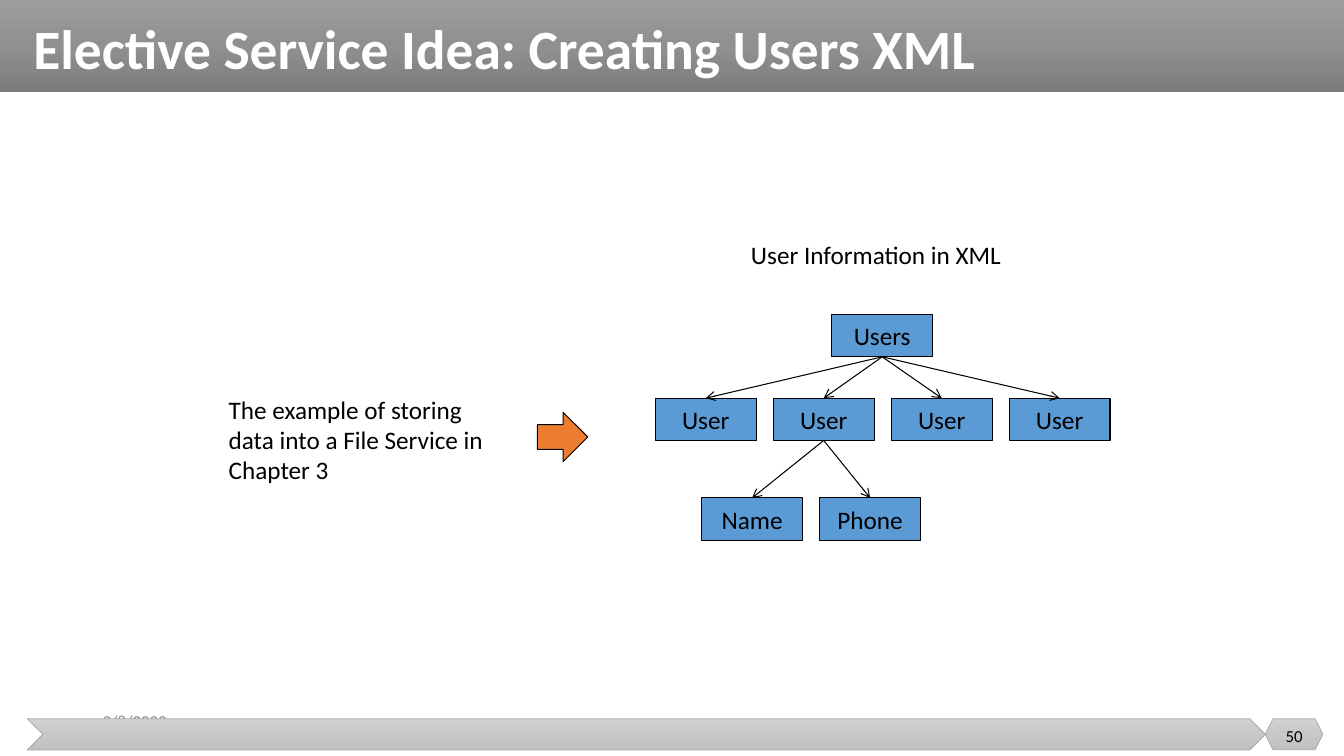
from copy import deepcopy
from dataclasses import dataclass

from lxml import etree
from pptx import Presentation
from pptx.dml.color import RGBColor
from pptx.enum.shapes import MSO_CONNECTOR as Connector, MSO_SHAPE as Preset
from pptx.enum.text import MSO_ANCHOR as Anchor, PP_ALIGN as Align
from pptx.oxml.ns import qn
from pptx.util import Inches, Pt


@dataclass(frozen=True)
class Theme:
    font: str = "Calibri"
    title_size: float = 39.6
    text_size: float = 18
    footer_size: float = 12
    thin_line: float = 0.5
    line: float = 0.75
    white: str = "FFFFFF"
    black: str = "000000"
    muted: str = "8C8C8C"
    node: str = "5B9BD5"
    arrow: str = "ED7D31"
    footer_line: str = "A5A5A5"
    band: tuple = ("9D9D9D", "909090", "7C7C7C")
    footer: tuple = ("D2D2D2", "C8C8C8", "C0C0C0")


class SlideBuilder:
    def __init__(self, slide, theme):
        self.slide = slide
        self.theme = theme

    def set_text(self, shape, text, size, color, align=Align.LEFT, anchor=Anchor.MIDDLE, bold=False):
        frame = shape.text_frame
        frame.text = text
        frame.word_wrap = True
        frame.vertical_anchor = anchor
        paragraph = frame.paragraphs[0]
        paragraph.alignment = align
        paragraph.font.name = self.theme.font
        paragraph.font.size = Pt(size)
        paragraph.font.bold = bold
        paragraph.font.color.rgb = RGBColor.from_string(color)
        return paragraph

    def title(self, text, box):
        title = self.slide.shapes.title
        title.left, title.top, title.width, title.height = map(Inches, box)
        theme = self.theme
        paragraph = self.set_text(title, text, theme.title_size, theme.white, bold=True)
        paragraph.line_spacing = 0.9
        title.element.getparent().append(title.element)

    def text(self, text, box, size, color, **style):
        shape = self.slide.shapes.add_textbox(*map(Inches, box))
        self.set_text(shape, text, size, color, **style)

    def shape(self, preset, box, fill, line=None, width=0):
        shape = self.slide.shapes.add_shape(preset, *map(Inches, box))
        shape.shadow.inherit = False
        if isinstance(fill, tuple):
            self.gradient(shape, fill)
        else:
            shape.fill.solid()
            shape.fill.fore_color.rgb = RGBColor.from_string(fill)
        if line:
            shape.line.color.rgb = RGBColor.from_string(line)
            shape.line.width = Pt(width)
        else:
            shape.line.fill.background()
        return shape

    def gradient(self, shape, colors):
        shape.fill.gradient()
        shape.fill.gradient_angle = 270
        stop_list = shape.element.spPr.find(qn("a:gradFill")).find(qn("a:gsLst"))
        stop_list.insert(1, deepcopy(stop_list[0]))
        for index, (stop, color) in enumerate(zip(shape.fill.gradient_stops, colors)):
            stop.position = index / 2
            stop.color.rgb = RGBColor.from_string(color)

    def node(self, label, left, top):
        theme = self.theme
        node = self.shape(Preset.RECTANGLE, (left, top, 1, 0.42), theme.node, theme.black, theme.line)
        self.set_text(node, label, theme.text_size, theme.black, align=Align.CENTER)
        return node

    def link(self, parent, child):
        connector = self.slide.shapes.add_connector(Connector.STRAIGHT, 0, 0, 0, 0)
        connector.begin_connect(parent, 2)
        connector.end_connect(child, 0)
        connector.line.color.rgb = RGBColor.from_string(self.theme.black)
        connector.line.width = Pt(self.theme.line)
        properties = connector.element.spPr
        etree.SubElement(properties.find(qn("a:ln")), qn("a:tailEnd"), type="arrow")
        etree.SubElement(properties, qn("a:effectLst"))

    def children(self, parent, labels, left, top, pitch=1.17):
        nodes = [self.node(label, left + index * pitch, top) for index, label in enumerate(labels)]
        for node in nodes:
            self.link(parent, node)
        return nodes


def main():
    presentation = Presentation()
    presentation.slide_width = Inches(13.33)
    presentation.slide_height = Inches(7.5)
    theme = Theme()
    slide = presentation.slides.add_slide(presentation.slide_layouts[5])
    builder = SlideBuilder(slide, theme)

    builder.shape(Preset.RECTANGLE, (0, 0, 13.33, 0.91), theme.band)
    builder.text("3/8/2023", (0.92, 6.95, 3, 0.4), theme.footer_size, theme.muted)
    for preset, left, width in ((Preset.CHEVRON, 0.27, 12.28), (Preset.HEXAGON, 12.55, 0.57)):
        builder.shape(preset, (left, 7.13, width, 0.31), theme.footer, theme.footer_line, theme.thin_line)
    builder.title("Elective Service Idea: Creating Users XML", (0.23, 0.17, 11.36, 0.68))
    builder.text("50", (12.55, 7.1, 0.57, 0.4), theme.footer_size, theme.black, align=Align.CENTER)

    root = builder.node("Users", 8.25, 3.12)
    users = builder.children(root, ["User"] * 4, 6.5, 3.95)
    builder.children(users[1], ["Name", "Phone"], 6.96, 4.94)

    builder.text("User Information in XML", (7.35, 2.33, 2.81, 0.4),
                 theme.text_size, theme.black, anchor=Anchor.TOP)
    builder.text("The example of storing data into a File Service in Chapter 3",
                 (2.17, 3.86, 2.83, 1.01), theme.text_size, theme.black, anchor=Anchor.TOP)
    builder.shape(Preset.RIGHT_ARROW, (5.33, 4.09, 0.5, 0.49), theme.arrow, theme.black, theme.line)

    presentation.save("out.pptx")


if __name__ == "__main__":
    main()
